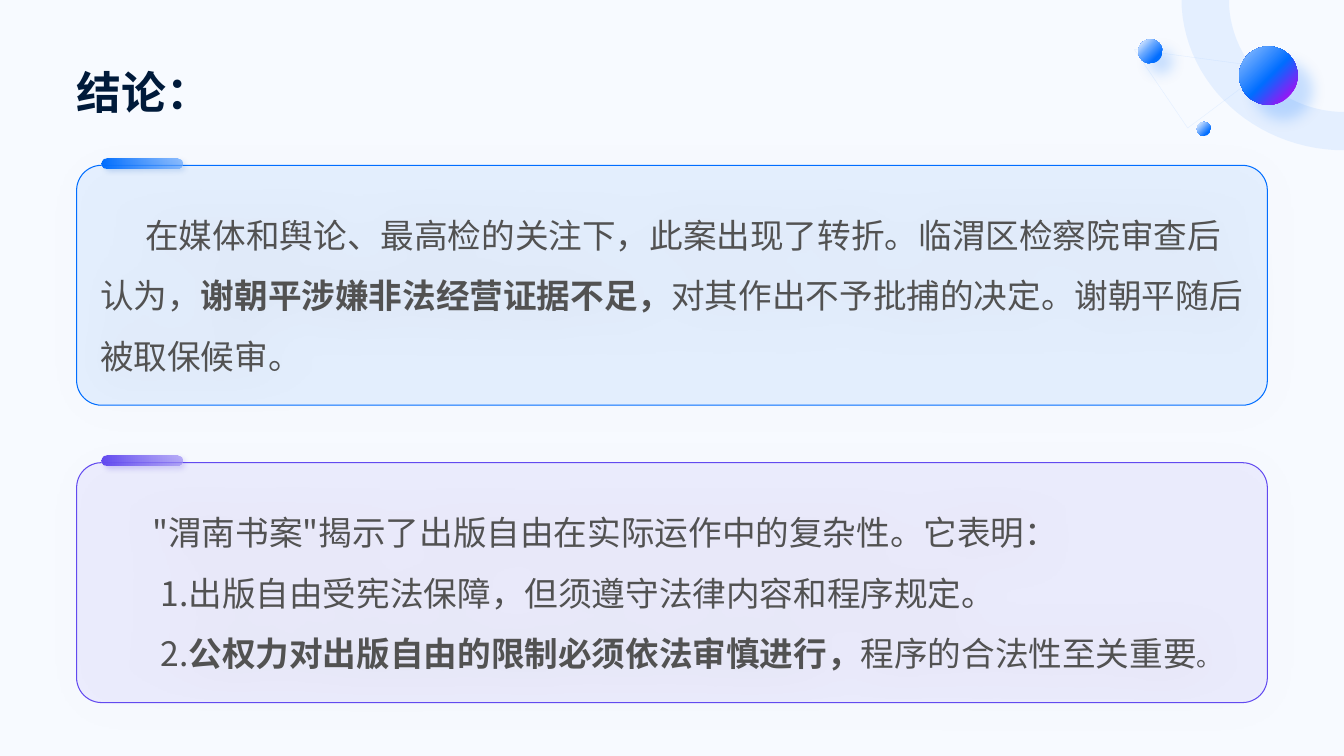
from pptx import Presentation
from pptx.dml.color import RGBColor
from pptx.enum.shapes import MSO_SHAPE
from pptx.enum.text import MSO_ANCHOR, PP_ALIGN
from pptx.oxml import parse_xml
from pptx.oxml.ns import nsdecls, qn
from pptx.util import Inches, Pt

# Content: each paragraph is (first-line indent, [(text, bold, size)])
TITLE = "结论："
TOP = [(0.45, [
    ("在媒体和舆论、最高检的关注下，此案出现了转折。临渭区检察院审查后认为，", False, 24),
    ("谢朝平涉嫌非法经营证据不足，", True, 24),
    ("对其作出不予批捕的决定。谢朝平随后被取保候审。", False, 24)])]
LOW = [
    (0.52, [('"渭南书案"揭示了出版自由在实际运作中的复杂性。它表明：', False, 24)]),
    (0.6, [("1.出版自由受宪法保障，但须遵守法律内容和程序规定。", False, 24)]),
    (0.6, [("2.", False, 24),
           ("公权力对出版自由的限制必须依法审慎进行，", True, 24),
           ("程序的合法性至关重要", False, 24), ("。", False, 18)])]

# Colours
PAPER = RGBColor(0xF7, 0xFA, 0xFF)
NAVY = RGBColor(0x00, 0x1A, 0x3A)
GREY = RGBColor(0x52, 0x52, 0x52)
BLACK = RGBColor(0, 0, 0)
BLUE = RGBColor(0x01, 0x6E, 0xFF)
SKY = RGBColor(0x67, 0xA8, 0xFF)
PALE = RGBColor(0xCC, 0xE2, 0xFF)
RING = RGBColor(0x99, 0xC5, 0xFF)
DEEP = RGBColor(0x00, 0x52, 0xC0)
VIOLET = RGBColor(0x62, 0x4A, 0xF0)
LILAC = RGBColor(0xA1, 0x92, 0xF6)
INDIGO = RGBColor(0x2F, 0x12, 0xD9)
PURPLE = RGBColor(0x96, 0x18, 0xF4)
FONT = "Noto Sans CJK SC"

# Cards: (top, paragraphs, strong colour, light colour, tab shadow colour)
CARDS = [(1.64, TOP, BLUE, SKY, DEEP), (4.59, LOW, VIOLET, LILAC, INDIGO)]
LEFT, WIDE, HIGH = 0.76, 11.81, 2.38

# Balls: (left, top, size, gradient stops, shadow)
BALLS = [
    (12.29, 0.46, 0.58, [(0, RING, 100), (52, BLUE, 100), (85, PURPLE, 100)],
     (BLUE, 20, 10, 15)),
    (11.29, 0.39, 0.24, [(12, PALE, 100), (40, SKY, 100), (75, BLUE, 100)],
     (BLUE, 20, 10, 10)),
    (11.87, 1.21, 0.14, [(13, PALE, 100), (75, BLUE, 100)], None)]
NET = [(11.25, 0.49), (12.58, 0.67), (11.78, 1.27)]
INNER = [(12.19, 0.05), (12.22, 0.62), (12.69, 1.08), (13.28, 1.11)]
OUTER = [(13.26, 1.49), (12.43, 1.45), (11.77, 0.84), (11.72, 0.07)]

deck = Presentation()
deck.slide_width, deck.slide_height = Inches(13.33), Inches(7.5)
slide = deck.slides.add_slide(deck.slide_layouts[5])
slide.background.fill.solid()
slide.background.fill.fore_color.rgb = PAPER


def fade(part, alpha):
    """Make the solid colour inside a fill or line see-through."""
    color = part.find(".//" + qn("a:srgbClr"))
    color.append(parse_xml(f'<a:alpha {nsdecls("a")} val="{alpha * 1000}"/>'))


def shade(shape, glow):
    shape.shadow.inherit = False
    if glow:
        color, alpha, blur, dist = glow
        shape._element.spPr.find(qn("a:effectLst")).append(parse_xml(
            f'<a:outerShdw {nsdecls("a")} blurRad="{Pt(blur)}" dist="{Pt(dist)}" '
            f'dir="2700000" algn="tl" rotWithShape="0"><a:srgbClr val="{color}">'
            f'<a:alpha val="{alpha * 1000}"/></a:srgbClr></a:outerShdw>'))


def blend(shape, stops, way):
    marks = "".join(
        f'<a:gs pos="{pos * 1000}"><a:srgbClr val="{color}">'
        f'<a:alpha val="{alpha * 1000}"/></a:srgbClr></a:gs>'
        for pos, color, alpha in stops)
    shape._element.spPr.find(qn("a:prstGeom")).addnext(parse_xml(
        f'<a:gradFill {nsdecls("a")} rotWithShape="1"><a:gsLst>{marks}</a:gsLst>'
        f'{way}</a:gradFill>'))


def add(kind, left, top, width, height, glow):
    shape = slide.shapes.add_shape(
        kind, Inches(left), Inches(top), Inches(width), Inches(height))
    shape.line.fill.background()
    shade(shape, glow)
    return shape


def style(run, size, color, bold, name):
    font = run.font
    font.size, font.bold, font.name = Pt(size), bold, name
    font.color.rgb = color
    latin = run._r.rPr.find(qn("a:latin"))
    latin.addnext(parse_xml(f'<a:ea {nsdecls("a")} typeface="{FONT}"/>'))


def outline(points):
    pen = slide.shapes.build_freeform(
        Inches(points[0][0]), Inches(points[0][1]))
    pen.add_line_segments([(Inches(x), Inches(y)) for x, y in points[1:]])
    shape = pen.convert_to_shape()
    shade(shape, None)
    return shape


def curve(knots, count=24):
    """Points along a cubic curve."""
    for step in range(count + 1):
        t = step / count
        parts = ((1 - t) ** 3, 3 * t * (1 - t) ** 2, 3 * t * t * (1 - t), t ** 3)
        yield tuple(sum(w * k[axis] for w, k in zip(parts, knots))
                    for axis in (0, 1))


# Corner decoration
net = outline(NET)
net.fill.background()
net.line.color.rgb = PALE
net.line.width = Pt(0.25)
fade(net.line._ln, 50)

ring = outline([(11.72, 0), (12.19, 0), *curve(INNER),
                (13.33, 1.11), (13.33, 1.49), *curve(OUTER)])
ring.fill.solid()
ring.fill.fore_color.rgb = RING
fade(ring._element.spPr, 20)
ring.line.fill.background()

FOCUS = '<a:path path="circle"><a:fillToRect r="100000" b="100000"/></a:path>'
for left, top, size, stops, glow in BALLS:
    blend(add(MSO_SHAPE.OVAL, left, top, size, size, glow), stops, FOCUS)

# Title
title = slide.shapes.title
title.left, title.top = Inches(LEFT), Inches(0.39)
title.width, title.height = Inches(WIDE), Inches(0.79)
frame = title.text_frame
frame.text = TITLE
frame.vertical_anchor = MSO_ANCHOR.BOTTOM
frame.margin_left = frame.margin_right = frame.margin_top = frame.margin_bottom = 0
frame.paragraphs[0].alignment = PP_ALIGN.LEFT
style(frame.paragraphs[0].runs[0], 32, NAVY, True, "Arial")

# Cards with their tabs
for top, paras, strong, light, dark in CARDS:
    card = add(MSO_SHAPE.ROUNDED_RECTANGLE, LEFT, top, WIDE, HIGH,
               (BLACK, 7, 35, 3))
    card.adjustments[0] = 0.104
    card.fill.solid()
    card.fill.fore_color.rgb = light
    fade(card._element.spPr, 12)
    card.line.color.rgb = strong
    card.line.width = Pt(0.75)

    frame = card.text_frame
    frame.word_wrap = True
    frame.vertical_anchor = MSO_ANCHOR.MIDDLE
    frame.margin_left = frame.margin_right = Inches(0.16)
    frame.margin_top = frame.margin_bottom = 0
    for i, (indent, runs) in enumerate(paras):
        para = frame.add_paragraph() if i else frame.paragraphs[0]
        para.alignment = PP_ALIGN.LEFT
        para.line_spacing = 1.5
        para._p.get_or_add_pPr().set("indent", str(Inches(indent)))
        for text, bold, size in runs:
            run = para.add_run()
            run.text = text
            style(run, size, GREY, bold, FONT)

    tab = add(MSO_SHAPE.ROUNDED_RECTANGLE, LEFT + 0.25, top - 0.07, 0.8, 0.1,
              (dark, 20, 4, 3))
    tab.adjustments[0] = 0.5
    blend(tab, [(0, strong, 100), (100, light, 71)], '<a:lin ang="0" scaled="0"/>')

deck.save("out.pptx")
